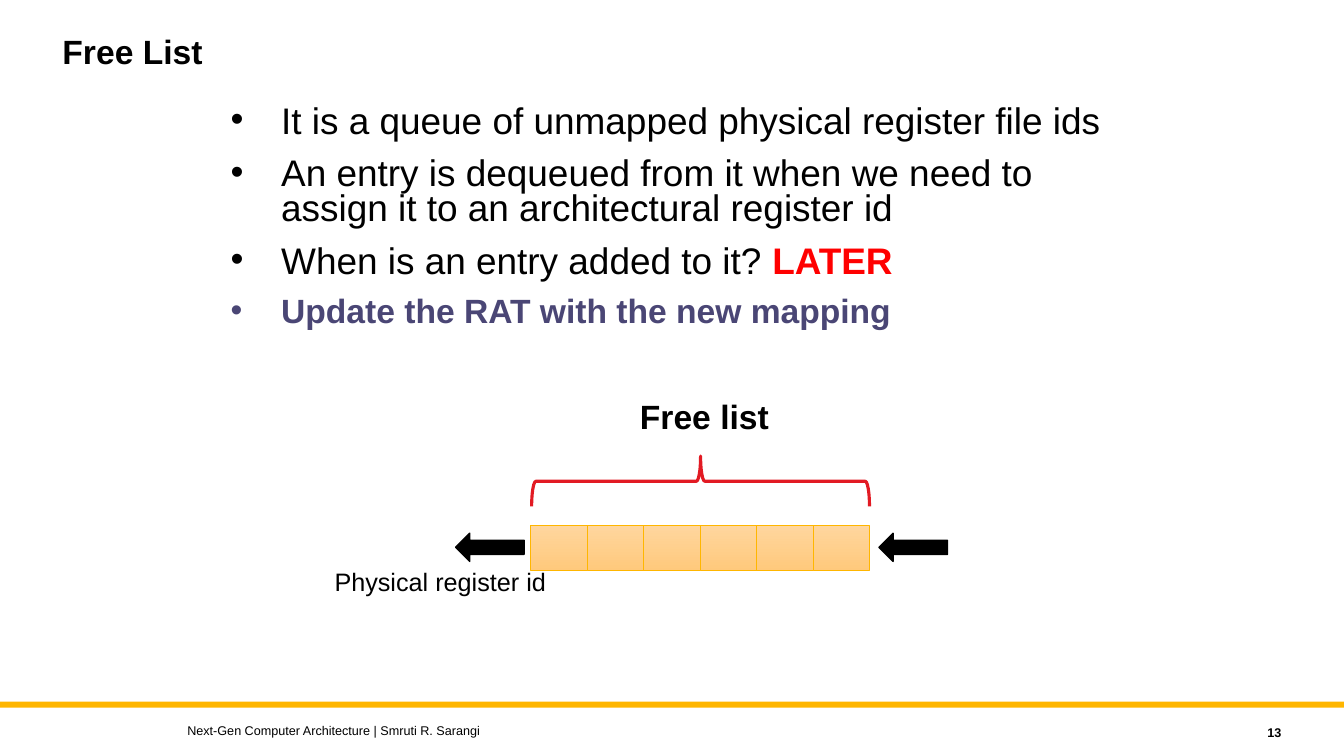
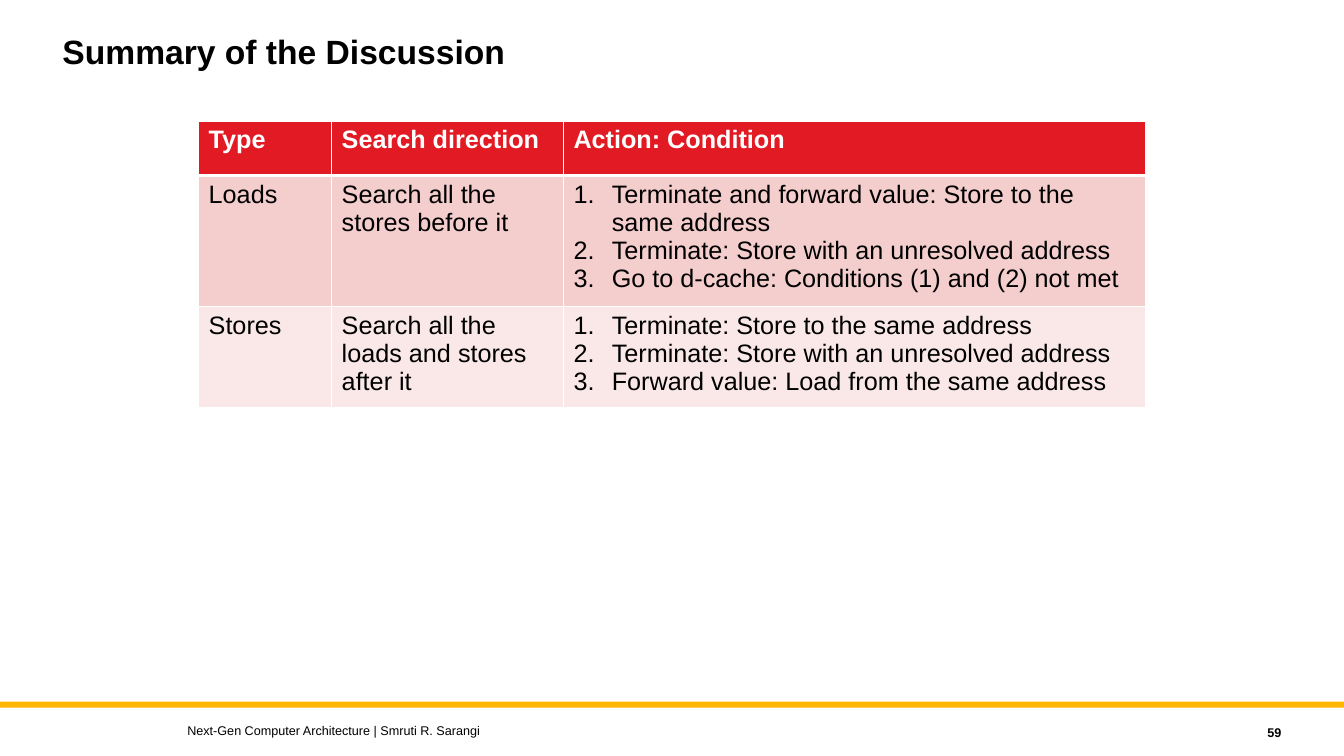
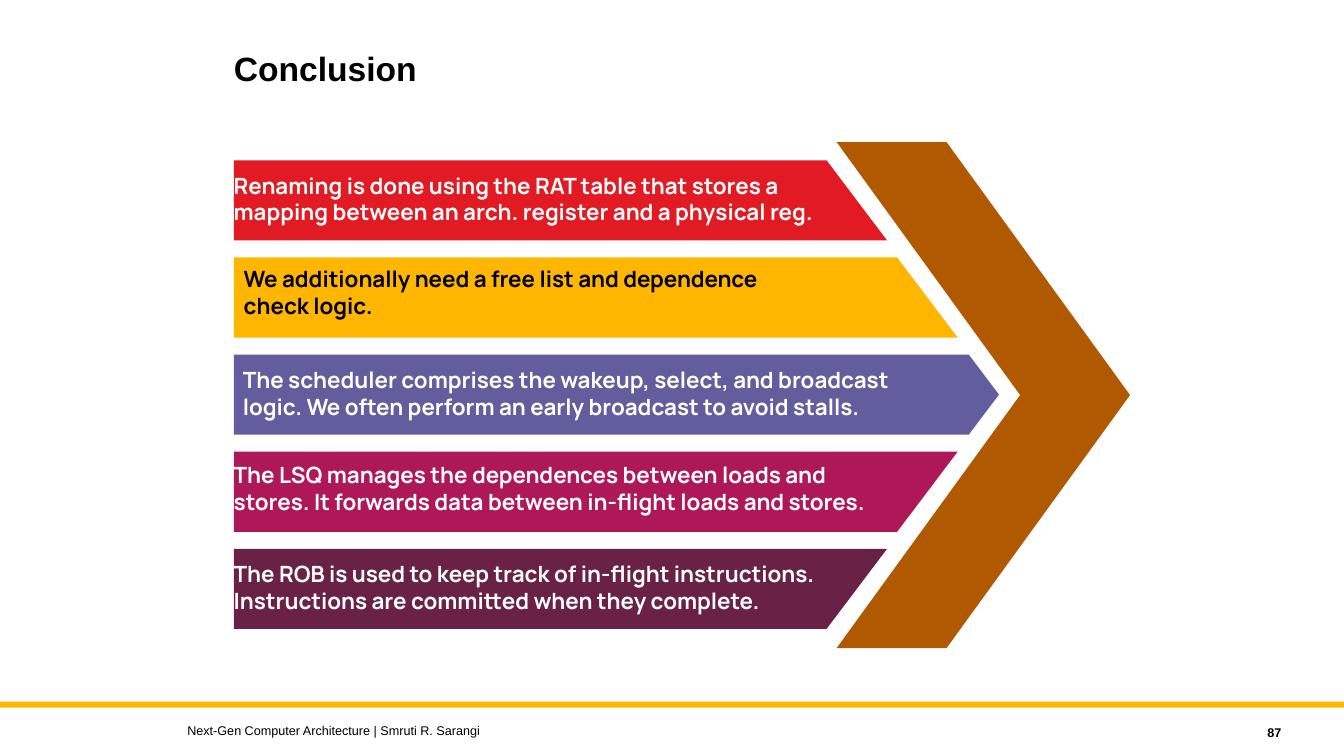
from lxml import etree
from pptx import Presentation
from pptx.dml.color import RGBColor
from pptx.enum.shapes import MSO_SHAPE
from pptx.enum.text import MSO_ANCHOR, MSO_AUTO_SIZE, PP_ALIGN
from pptx.oxml.ns import qn
from pptx.util import Inches, Pt

BLACK = RGBColor(0x00, 0x00, 0x00)
WHITE = RGBColor(0xFF, 0xFF, 0xFF)
RED = RGBColor(0xE2, 0x1A, 0x23)
BRIGHT_RED = RGBColor(0xFF, 0x00, 0x00)
AMBER = RGBColor(0xFF, 0xB6, 0x00)
PEACH_LIGHT = RGBColor(0xFF, 0xD6, 0x9E)
PEACH_DARK = RGBColor(0xFF, 0xC9, 0x7C)
INDIGO = RGBColor(0x4A, 0x46, 0x75)
VIOLET = RGBColor(0x62, 0x5D, 0x9C)
MAGENTA = RGBColor(0xAF, 0x18, 0x58)
PLUM = RGBColor(0x69, 0x21, 0x46)
BROWN = RGBColor(0xB1, 0x59, 0x00)
PINK = RGBColor(0xF4, 0xCD, 0xCD)
PALE_PINK = RGBColor(0xFA, 0xE8, 0xE8)

RECTANGLE = MSO_SHAPE.RECTANGLE
LEFT_ARROW = MSO_SHAPE.LEFT_ARROW
LEFT_BRACE = MSO_SHAPE.LEFT_BRACE
LEFT, RIGHT = PP_ALIGN.LEFT, PP_ALIGN.RIGHT
TOP, MIDDLE = MSO_ANCHOR.TOP, MSO_ANCHOR.MIDDLE
NO_AUTOFIT = MSO_AUTO_SIZE.NONE

TITLE_ONLY = 5
FOOTER = "Next-Gen Computer Architecture | Smruti R. Sarangi"


def add_marker(paragraph, marker, indent):
    """Give the paragraph a bullet character, or a number if marker is '1.'."""
    properties = paragraph._p.get_or_add_pPr()
    properties.set("marL", str(Inches(indent)))
    properties.set("indent", str(-Inches(indent)))
    if marker == "1.":
        etree.SubElement(properties, qn("a:buAutoNum"), type="arabicPeriod")
    else:
        etree.SubElement(properties, qn("a:buFont"), typeface="Arial")
        etree.SubElement(properties, qn("a:buChar"), char=marker)


def write_text(frame, paragraphs, size=18, color=BLACK, bold=False, font="Arial",
               align=LEFT, line_spacing=None, space_before=0, marker=None, indent=0):
    """Write strings, or lists of (text, changes) runs, as paragraphs; \\n breaks a line."""
    for index, runs in enumerate(paragraphs):
        paragraph = frame.add_paragraph() if index else frame.paragraphs[0]
        paragraph.alignment = align
        if line_spacing:
            paragraph.line_spacing = line_spacing
        paragraph.space_before = Pt(space_before if index else 0)
        if marker:
            add_marker(paragraph, marker, indent)
        for text, changes in [(runs, {})] if isinstance(runs, str) else runs:
            style = {"size": size, "color": color, "bold": bold, **changes}
            for line_number, line in enumerate(text.split("\n")):
                if line_number:
                    paragraph.add_line_break()
                run = paragraph.add_run()
                run.text = line
                run.font.name = font
                run.font.size = Pt(style["size"])
                run.font.bold = style["bold"]
                run.font.color.rgb = style["color"]
        for line_break in paragraph._p.findall(qn("a:br")):
            etree.SubElement(line_break, qn("a:rPr"), sz=str(size * 100))


def set_borders(cell, widths):
    """Draw white borders; widths are points for left, right, top and bottom."""
    properties = cell._tc.get_or_add_tcPr()
    for index, (side, width) in enumerate(zip("LRTB", widths)):
        line = etree.Element(qn("a:ln" + side), w=str(Pt(width)))
        fill = etree.SubElement(line, qn("a:solidFill"))
        etree.SubElement(fill, qn("a:srgbClr"), val=str(WHITE))
        properties.insert(index, line)


class Deck:
    """Shared style and the current slide; lengths are percent of the slide's size."""

    def __init__(self):
        self.presentation = Presentation()
        self.presentation.slide_width = Inches(13.33)
        self.presentation.slide_height = Inches(7.5)
        self.slide = None

    def across(self, share):
        return round(self.presentation.slide_width * share / 100)

    def down(self, share):
        return round(self.presentation.slide_height * share / 100)

    def box(self, left, top, width, height):
        return self.across(left), self.down(top), self.across(width), self.down(height)

    def new_slide(self, title, number, title_left=3.9, title_top=4):
        layout = self.presentation.slide_layouts[TITLE_ONLY]
        self.slide = self.presentation.slides.add_slide(layout)
        self.shape(RECTANGLE, 0, 92.8, 100, 0.8, fill=AMBER)
        placeholder = self.slide.shapes.title
        placeholder.left, placeholder.top, placeholder.width, placeholder.height = self.box(
            title_left, title_top, 75, 12)
        frame = placeholder.text_frame
        frame.auto_size, frame.vertical_anchor, frame.word_wrap = NO_AUTOFIT, TOP, True
        write_text(frame, [title], size=24, bold=True, line_spacing=0.9)
        self.text([FOOTER], 13.2, 94.93, 60, 3.33, anchor=MIDDLE, size=9)
        self.text([number], 85.58, 95.2, 10.5, 3.33, anchor=MIDDLE, size=9,
                  bold=True, align=RIGHT)

    def text(self, paragraphs, left, top, width, height, anchor=TOP, wrap=True, **style):
        frame = self.slide.shapes.add_textbox(*self.box(left, top, width, height)).text_frame
        frame.word_wrap, frame.vertical_anchor = wrap, anchor
        write_text(frame, paragraphs, **style)

    def paint(self, shape, fill=None, line=None, line_width=1):
        """Fill with one colour, a list of two gradient colours, or nothing."""
        shape.shadow.inherit = False
        if isinstance(fill, list):
            shape.fill.gradient()
            shape.fill.gradient_angle = 270
            for stop, color in zip(shape.fill.gradient_stops, fill):
                stop.color.rgb = color
        elif fill is None:
            shape.fill.background()
        else:
            shape.fill.solid()
            shape.fill.fore_color.rgb = fill
        if line is None:
            shape.line.fill.background()
        else:
            shape.line.color.rgb = line
            shape.line.width = Pt(line_width)

    def shape(self, kind, left, top, width, height, rotation=0, **style):
        shape = self.slide.shapes.add_shape(kind, *self.box(left, top, width, height))
        shape.rotation = rotation
        self.paint(shape, **style)

    def outline(self, points, fill):
        start, *others = [(self.across(x), self.down(y)) for x, y in points]
        builder = self.slide.shapes.build_freeform(*start)
        builder.add_line_segments(others, close=True)
        self.paint(builder.convert_to_shape(), fill=fill)

    def table(self, rows, left, top, column_widths, row_heights, fills):
        frame = self.slide.shapes.add_table(
            len(rows), len(column_widths),
            *self.box(left, top, sum(column_widths), sum(row_heights)))
        table = frame.table
        table.horz_banding = False
        for column, width in zip(table.columns, column_widths):
            column.width = self.across(width)
        for row_number, texts in enumerate(rows):
            header = row_number == 0
            table.rows[row_number].height = self.down(row_heights[row_number])
            for column_number, content in enumerate(texts):
                cell = table.cell(row_number, column_number)
                cell.fill.solid()
                cell.fill.fore_color.rgb = fills[row_number]
                set_borders(cell, (1, 1, 3 if row_number == 1 else 1, 3 if header else 1))
                numbered = isinstance(content, list)
                write_text(cell.text_frame, content if numbered else [content],
                           color=WHITE if header else BLACK, bold=header,
                           marker="1." if numbered else None, indent=0.38)


def add_free_list(deck):
    deck.new_slide("Free List", "13")
    deck.text([
        "It is a queue of unmapped physical register file ids",
        "An entry is dequeued from it when we need to assign it to an architectural register id",
        [("When is an entry added to it? ", {}), ("LATER", {"color": BRIGHT_RED, "bold": True})],
        [("Update the RAT with the new mapping", {"size": 24, "color": INDIGO, "bold": True})],
    ], 16.43, 13.33, 68.1, 36.67, size=26.4, line_spacing=0.8, space_before=12,
        marker="•", indent=0.5)

    # Queue of register ids
    queue_left, entry_width = 39.5, 4.2
    for entry in range(6):
        deck.shape(RECTANGLE, queue_left + entry * entry_width, 69.47, entry_width, 6,
                   fill=[PEACH_LIGHT, PEACH_DARK], line=AMBER, line_width=0.5)
    for arrow_left in (33.9, 65.4):
        deck.shape(LEFT_ARROW, arrow_left, 70.53, 5.1, 3.73, fill=BLACK, line=BLACK)

    # Labels
    deck.text(["Physical register id"], 24.15, 74.27, 17.4, 5.33, wrap=False)
    deck.shape(LEFT_BRACE, 50.25, 41.33, 3.75, 44.67, rotation=90, line=RED, line_width=2.25)
    deck.text(["Free list"], 46.88, 51.73, 18.83, 6.67, size=24, bold=True)


def add_summary(deck):
    deck.new_slide("Summary of the Discussion", "59")
    deck.table([
        ["Type", "Search direction", "Action: Condition"],
        ["Loads", "Search all the stores before it", [
            "Terminate and forward value: Store to the same address",
            "Terminate: Store with an unresolved address",
            "Go to d-cache: Conditions (1) and (2) not met"]],
        ["Stores", "Search all the loads and stores after it", [
            "Terminate: Store to the same address",
            "Terminate: Store with an unresolved address",
            "Forward value: Load from the same address"]],
    ], 14.78, 16, (9.9, 17.25, 43.35), (7.2, 16.2, 12.5), (RED, PINK, PALE_PINK))


def add_conclusion(deck):
    deck.new_slide("Conclusion", "87", title_left=16.65, title_top=6.27)
    # Chevron
    deck.outline([(62.25, 18.8), (75.9, 52.27), (62.25, 85.73),
                  (70.43, 85.73), (84.08, 52.27), (70.43, 18.8)], BROWN)

    # Bars: fill, right edge from top to bottom, text colour, text box, text
    bars = [
        (RED, (61.5, 66), WHITE, (16.65, 22, 48.83),
         ["Renaming is done using the RAT table that stores a\n"
          "mapping between an arch. register and a physical reg."]),
        (AMBER, (66.75, 71.25), BLACK, (17.4, 34.4, 43.5),
         ["We additionally need a free list and dependence check logic."]),
        (VIOLET, (72.08, 74.33, 72.08), WHITE, (17.33, 47.73, 53.4),
         ["The scheduler comprises the wakeup, select, and broadcast\n"
          "logic. We often perform an early broadcast to avoid stalls."]),
        (MAGENTA, (71.25, 66.75), WHITE, (16.65, 60.27, 53.25),
         ["The LSQ manages the dependences between loads and",
          "stores. It forwards data between in-flight loads and stores."]),
        (PLUM, (66, 61.5), WHITE, (16.65, 73.33, 47.48),
         ["The ROB is used to keep track of in-flight instructions.",
          "Instructions are committed when they complete."]),
    ]
    bar_left, first_top, pitch, bar_height = 17.4, 21.2, 12.85, 10.6
    for index, (fill, edge, color, text_box, paragraphs) in enumerate(bars):
        top = first_top + index * pitch
        step = bar_height / (len(edge) - 1)
        right_side = [(x, top + step * corner) for corner, x in enumerate(edge)]
        deck.outline([(bar_left, top), *right_side, (bar_left, top + bar_height)], fill)
        deck.text(paragraphs, *text_box, 8.53, anchor=MIDDLE, size=16, color=color,
                  bold=True, font="Manrope")


def main():
    deck = Deck()
    add_free_list(deck)
    add_summary(deck)
    add_conclusion(deck)
    deck.presentation.save("out.pptx")


if __name__ == "__main__":
    main()
